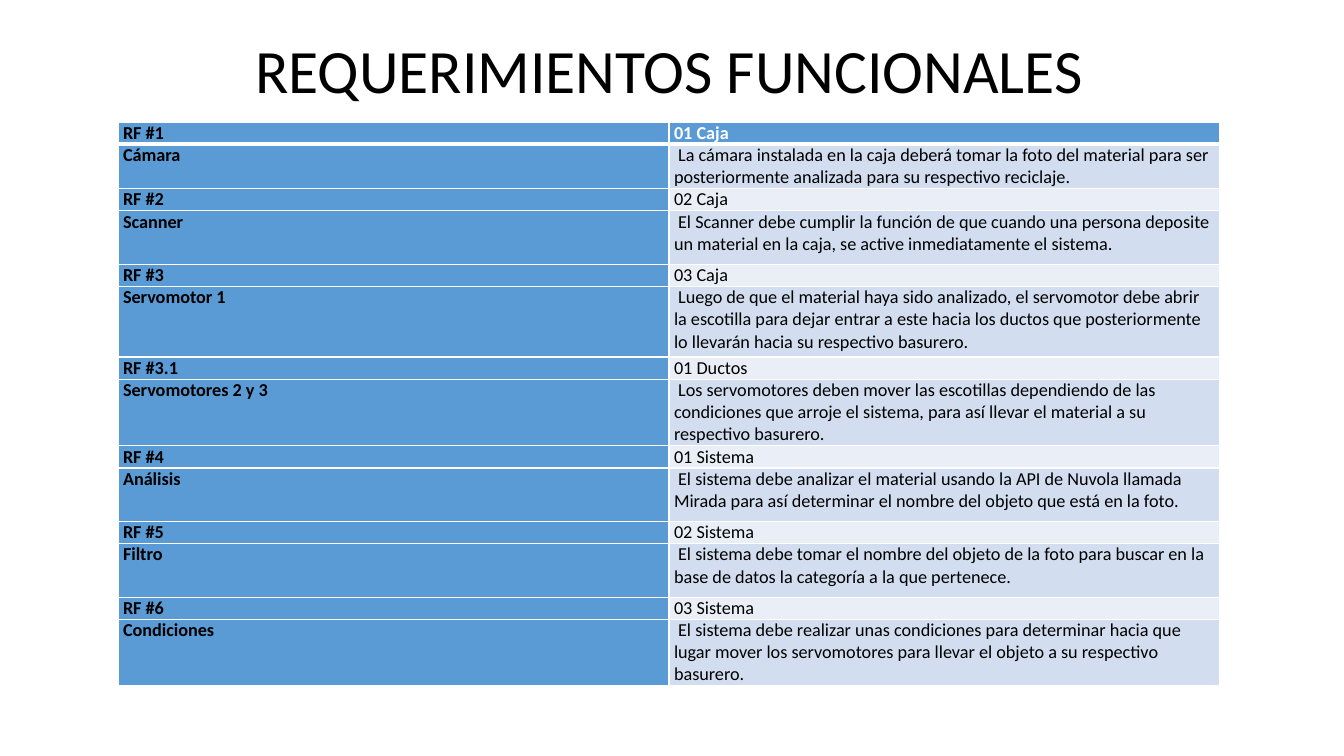
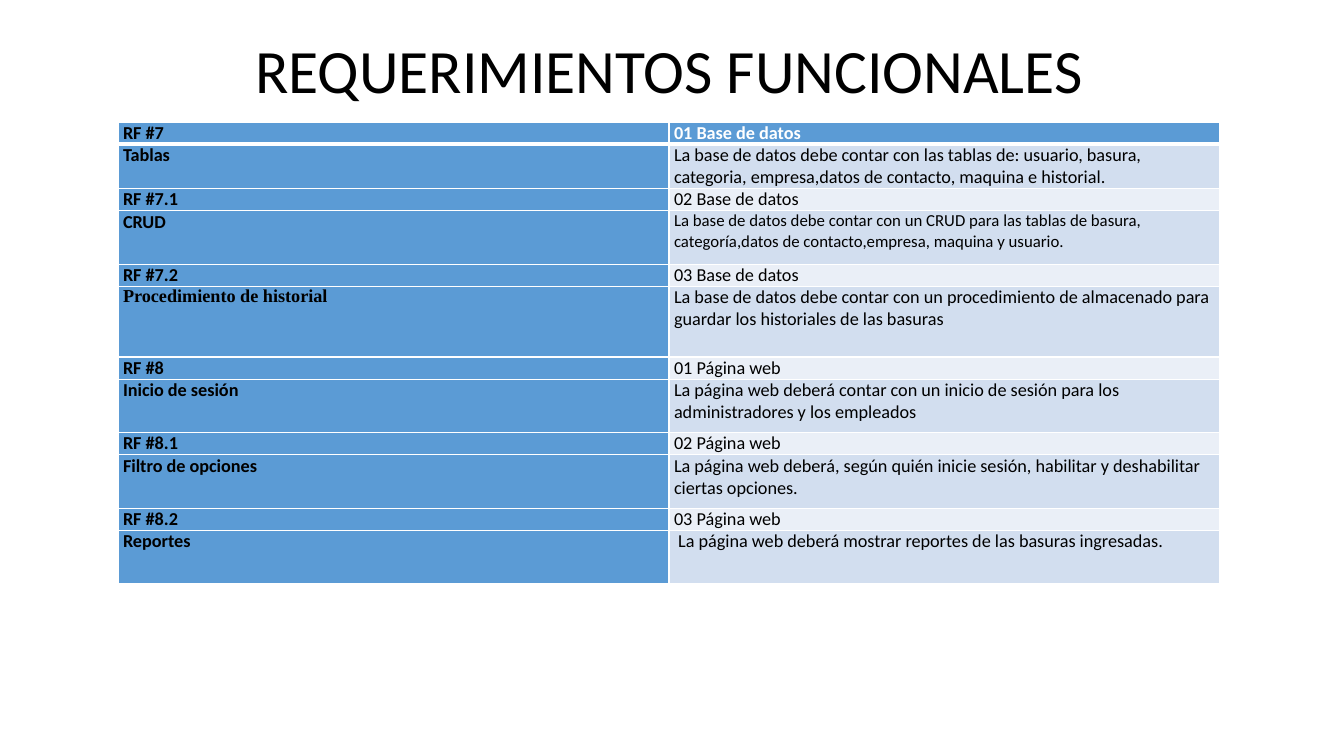
from lxml.etree import SubElement
from pptx import Presentation
from pptx.dml.color import RGBColor as RGB
from pptx.enum.text import MSO_ANCHOR as ANCHOR, PP_ALIGN as ALIGN
from pptx.oxml.ns import qn
from pptx.util import Inches, Pt

COLORS = {"text": "000000", "white": "FFFFFF", "blue": "5B9BD5",
          "pale": "D2DEEF", "light": "EAEFF7"}
FONT = "Calibri"
TITLE = "REQUERIMIENTOS FUNCIONALES"
HEAD_H = 0.22


class Deck:
    """Holds the shared style and the current slide."""

    def __init__(self):
        self.prs = Presentation()
        self.prs.slide_width, self.prs.slide_height = Inches(13.33), Inches(7.5)
        self.s = None

    def slide(self, title):
        self.s = self.prs.slides.add_slide(self.prs.slide_layouts[5])
        sp = self.s.shapes.title
        sp.left, sp.top, sp.width, sp.height = map(Inches, (0.89, 0, 11.5, 1.45))
        tf = sp.text_frame
        tf.word_wrap, tf.vertical_anchor = True, ANCHOR.MIDDLE
        p = tf.paragraphs[0]
        p.alignment, p.line_spacing = ALIGN.CENTER, 0.9
        self.text(p, title, 44)

    def text(self, p, text, size, color="text", bold=False, font=FONT):
        p.text = text
        p.font.size, p.font.name, p.font.bold = Pt(size), font, bold
        p.font.color.rgb = RGB.from_string(COLORS[color])

    def borders(self, cell, bottom):
        tc_pr = cell._tc.get_or_add_tcPr()
        for side, width in (("L", 1), ("R", 1), ("T", 1), ("B", bottom)):
            ln = SubElement(tc_pr, qn(f"a:ln{side}"), w=str(Pt(width)))
            fill = SubElement(ln, qn("a:solidFill"))
            SubElement(fill, qn("a:srgbClr"), val=COLORS["white"])

    def cell(self, cell, text, fill, bottom=1, size=13, **style):
        cell.margin_left = cell.margin_right = Inches(0.05)
        cell.margin_top = cell.margin_bottom = 0
        self.borders(cell, bottom)
        cell.fill.solid()
        cell.fill.fore_color.rgb = RGB.from_string(COLORS[fill])
        self.text(cell.text_frame.paragraphs[0], text, size, **style)

    def requirements(self, items):
        height = sum(HEAD_H + item[4] for item in items)
        table = self.s.shapes.add_table(
            2 * len(items), 2, Inches(1.17), Inches(1.21),
            Inches(10.93), Inches(height)).table
        for i, (code, area, name, detail, detail_h, *extra) in enumerate(items):
            name_style, detail_style = extra or ({}, {})
            head, body = 2 * i, 2 * i + 1
            table.rows[head].height = Inches(HEAD_H)
            table.rows[body].height = Inches(detail_h)
            first = i == 0
            bottom = 3 if first else 1
            self.cell(table.cell(head, 0), code, "blue", bottom, bold=True)
            self.cell(table.cell(head, 1), area, "blue" if first else "light", bottom,
                      color="white" if first else "text", bold=first)
            self.cell(table.cell(body, 0), name, "blue", bold=True, **name_style)
            self.cell(table.cell(body, 1), detail, "pale", **detail_style)


DEVICE = [
    ("RF #1", "01 Caja", "Cámara",
     " La cámara instalada en la caja deberá tomar la foto del material para ser "
     "posteriormente analizada para su respectivo reciclaje.", 0.44),
    ("RF #2", "02 Caja", "Scanner",
     " El Scanner debe cumplir la función de que cuando una persona deposite "
     "un material en la caja, se active inmediatamente el sistema.", 0.53),
    ("RF #3", "03 Caja", "Servomotor 1",
     " Luego de que el material haya sido analizado, el servomotor debe abrir "
     "la escotilla para dejar entrar a este hacia los ductos que posteriormente "
     "lo llevarán hacia su respectivo basurero.", 0.7),
    ("RF #3.1", "01 Ductos", "Servomotores 2 y 3",
     " Los servomotores deben mover las escotillas dependiendo de las "
     "condiciones que arroje el sistema, para así llevar el material a su "
     "respectivo basurero.", 0.66),
    ("RF #4", "01 Sistema", "Análisis",
     " El sistema debe analizar el material usando la API de Nuvola llamada "
     "Mirada para así determinar el nombre del objeto que está en la foto.", 0.53),
    ("RF #5", "02 Sistema", "Filtro",
     " El sistema debe tomar el nombre del objeto de la foto para buscar en la "
     "base de datos la categoría a la que pertenece.", 0.53),
    ("RF #6", "03 Sistema", "Condiciones",
     " El sistema debe realizar unas condiciones para determinar hacia que "
     "lugar mover los servomotores para llevar el objeto a su respectivo "
     "basurero.", 0.66),
]
DATA_AND_WEB = [
    ("RF #7", "01 Base de datos", "Tablas",
     "La base de datos debe contar con las tablas de: usuario, basura, "
     "categoria, empresa,datos de contacto, maquina e historial.", 0.44),
    ("RF #7.1", "02 Base de datos", "CRUD",
     "La base de datos debe contar con un CRUD para las tablas de basura, "
     "categoría,datos de contacto,empresa, maquina y usuario.", 0.53,
     {}, {"size": 12}),
    ("RF #7.2", "03 Base de datos", "Procedimiento de historial",
     "La base de datos debe contar con un procedimiento de almacenado para "
     "guardar los historiales de las basuras", 0.7,
     {"font": "Times New Roman"}, {}),
    ("RF #8", "01 Página web", "Inicio de sesión",
     "La página web deberá contar con un inicio de sesión para los "
     "administradores y los empleados", 0.53),
    ("RF #8.1", "02 Página web", "Filtro de opciones",
     "La página web deberá, según quién inicie sesión, habilitar y deshabilitar "
     "ciertas opciones.", 0.53),
    ("RF #8.2", "03 Página web", "Reportes",
     " La página web deberá mostrar reportes de las basuras ingresadas.", 0.53),
]

deck = Deck()
for items in (DEVICE, DATA_AND_WEB):
    deck.slide(TITLE)
    deck.requirements(items)
deck.prs.save("out.pptx")
